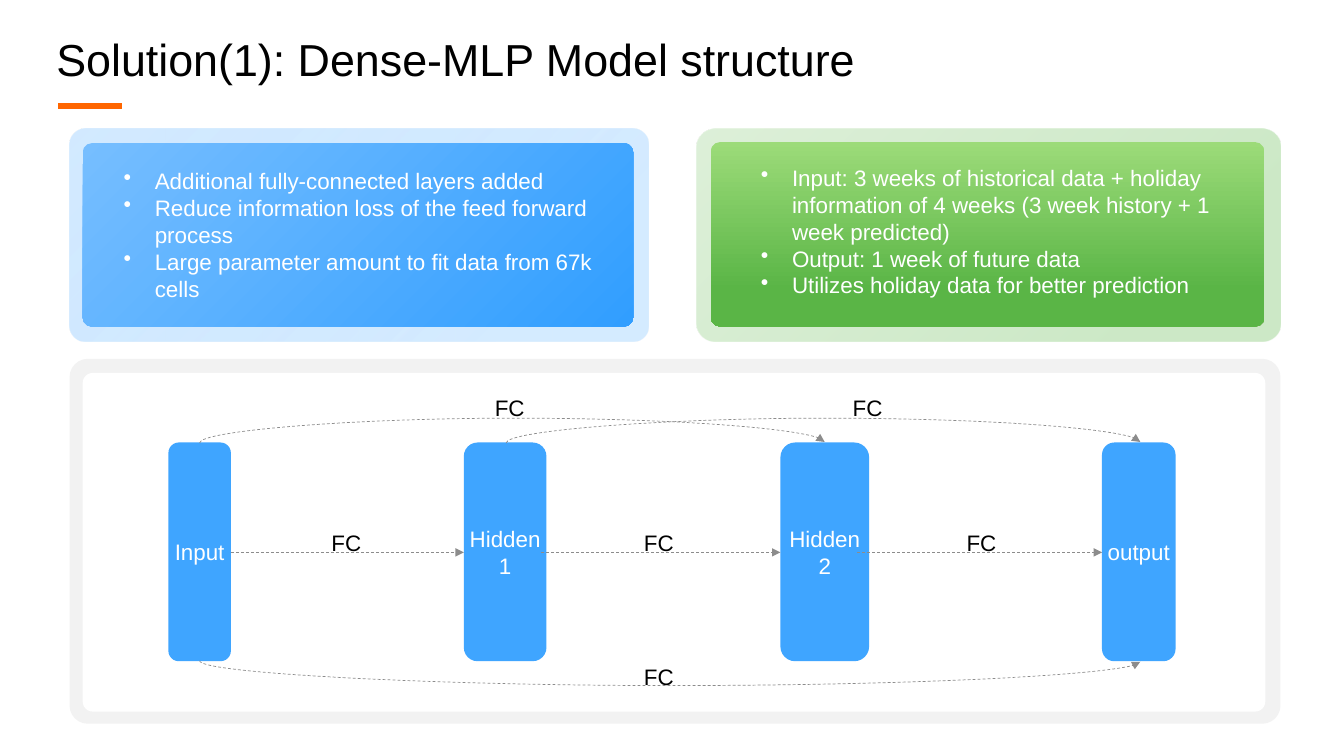
from dataclasses import dataclass

import pptx
import pptx.dml.color
import pptx.enum.dml
import pptx.enum.shapes
import pptx.enum.text
import pptx.oxml
import pptx.oxml.ns
import pptx.util

Inches, Pt = pptx.util.Inches, pptx.util.Pt
RGBColor = pptx.dml.color.RGBColor
CONNECTOR = pptx.enum.shapes.MSO_CONNECTOR
ALIGN = pptx.enum.text.PP_ALIGN
qn = pptx.oxml.ns.qn

BLACK = RGBColor(0x00, 0x00, 0x00)
WHITE = RGBColor(0xFF, 0xFF, 0xFF)
ORANGE = RGBColor(0xFF, 0x66, 0x00)
GREY = RGBColor(0x8C, 0x8C, 0x8C)
PALE_GREY = RGBColor(0xF2, 0xF2, 0xF2)
NODE_BLUE = RGBColor(0x3F, 0xA5, 0xFF)
LIGHT_BLUE = RGBColor(0x76, 0xBE, 0xFF)
DEEP_BLUE = RGBColor(0x31, 0x9E, 0xFF)
MIST_GREEN = RGBColor(0xBD, 0xE2, 0xB4)
SOFT_GREEN = RGBColor(0x9B, 0xD4, 0x8F)
LIGHT_GREEN = RGBColor(0x9C, 0xDB, 0x79)
DEEP_GREEN = RGBColor(0x5A, 0xB5, 0x46)

NODE_TOP, NODE_HEIGHT = 4.39, 2.17
NODE_BOTTOM = NODE_TOP + NODE_HEIGHT
ARROW_Y = 5.48
ARC_DEPTH, ARC_RISE = 0.01, 0.25


@dataclass
class Stop:
    color: RGBColor
    position: float
    opacity: int = 100


@dataclass
class Panel:
    box: tuple[float, float, float, float]
    radius: float
    stops: tuple[Stop, ...]  # one stop is a solid fill
    angle: int = 0  # counter-clockwise


@dataclass
class Bullets:
    box: tuple[float, float, float, float]
    lines: tuple[str, ...]


@dataclass
class Node:
    text: str
    left: float
    width: float


@dataclass
class Arrow:
    start: float
    end: float
    label_left: float
    label_width: float


@dataclass
class Arc(Arrow):
    label_top: float
    above: bool = True


PANELS = (
    Panel((0.69, 1.28, 5.74, 2.11), 0.08,
          (Stop(LIGHT_BLUE, 0, 32), Stop(DEEP_BLUE, 0.82, 20)), 315),
    Panel((0.82, 1.42, 5.46, 1.82), 0.05,
          (Stop(LIGHT_BLUE, 0), Stop(DEEP_BLUE, 1)), 315),
    Panel((6.91, 1.28, 5.79, 2.11), 0.09,
          (Stop(MIST_GREEN, 0, 50), Stop(SOFT_GREEN, 0.8, 50)), 315),
    Panel((7.05, 1.41, 5.49, 1.83), 0.05,
          (Stop(LIGHT_GREEN, 0), Stop(DEEP_GREEN, 0.8)), 270),
    Panel((0.69, 3.56, 12.01, 3.62), 0.05, (Stop(PALE_GREY, 0),)),
    Panel((0.82, 3.7, 11.73, 3.36), 0.03, (Stop(WHITE, 0),)),
)
BULLETS = (
    Bullets((1.12, 1.24, 4.87, 2.17), (
        "Additional fully-connected layers added",
        "Reduce information loss of the feed forward process",
        "Large parameter amount to fit data from 67k cells")),
    Bullets((7.44, 1.21, 4.73, 2.17), (
        "Input: 3 weeks of historical data + holiday information of 4 weeks "
        "(3 week history + 1 week predicted)",
        "Output: 1 week of future data",
        "Utilizes holiday data for better prediction")),
)
NODES = (Node("Input", 1.67, 0.62), Node("Hidden 1", 4.6, 0.82),
         Node("Hidden 2", 7.74, 0.88), Node("output", 10.93, 0.73))
ARROWS = (Arrow(2.29, 4.6, 3.15, 0.57), Arrow(5.37, 7.74, 6.26, 0.55),
          Arrow(8.5, 10.93, 9.45, 0.57))
ARCS = (Arc(1.98, 8.18, 4.76, 0.59, 3.86), Arc(5.02, 11.31, 8.31, 0.59, 3.86),
        Arc(1.98, 11.31, 6.27, 0.53, 6.53, above=False))


def format_text(tf, size: float, color: RGBColor, align) -> None:
    tf.word_wrap = True
    for p in tf.paragraphs:
        p.alignment = align
        for r in p.runs:
            r.font.name, r.font.size = "Arial", Pt(size)
            r.font.color.rgb = color


def add_text(slide, box, text: str, size: float, align) -> None:
    tf = slide.shapes.add_textbox(*map(Inches, box)).text_frame
    tf.text = text
    format_text(tf, size, BLACK, align)


def add_round_rect(slide, box):
    kind = pptx.enum.shapes.MSO_SHAPE.ROUNDED_RECTANGLE
    sp = slide.shapes.add_shape(kind, *map(Inches, box))
    sp.shadow.inherit = False
    sp.line.fill.background()
    tf = sp.text_frame
    tf.margin_left = tf.margin_right = 0
    tf.vertical_anchor = pptx.enum.text.MSO_ANCHOR.MIDDLE
    return sp


def add_panel(slide, panel: Panel) -> None:
    sp = add_round_rect(slide, panel.box)
    sp.adjustments[0] = panel.radius
    if len(panel.stops) == 1:
        sp.fill.solid()
        sp.fill.fore_color.rgb = panel.stops[0].color
        return
    sp.fill.gradient()
    sp.fill.gradient_angle = panel.angle
    for gs, stop in zip(sp.fill.gradient_stops, panel.stops):
        gs.color.rgb, gs.position = stop.color, stop.position
    for clr, stop in zip(sp._element.spPr.iter(qn("a:srgbClr")), panel.stops):
        if stop.opacity < 100:
            alpha = clr.makeelement(qn("a:alpha"), {"val": str(stop.opacity * 1000)})
            clr.append(alpha)


def add_bullets(slide, bullets: Bullets) -> None:
    sp = add_round_rect(slide, bullets.box)
    sp.fill.background()
    tf = sp.text_frame
    tf.text = "\n".join(bullets.lines)
    for p in tf.paragraphs:
        pPr = p._p.get_or_add_pPr()
        pPr.set("marL", str(Inches(0.31)))
        pPr.set("indent", str(-Inches(0.31)))
        pPr.append(pPr.makeelement(qn("a:buChar"), {"char": "•"}))
    format_text(tf, 16, WHITE, ALIGN.LEFT)


def add_node(slide, node: Node) -> None:
    sp = add_round_rect(slide, (node.left, NODE_TOP, node.width, NODE_HEIGHT))
    sp.fill.solid()
    sp.fill.fore_color.rgb = NODE_BLUE
    sp.text_frame.text = node.text
    format_text(sp.text_frame, 16, WHITE, ALIGN.CENTER)


def add_line(slide, kind, ends, color: RGBColor, width: float):
    sp = slide.shapes.add_connector(kind, *map(Inches, ends))
    sp.line.color.rgb, sp.line.width = color, Pt(width)
    spPr = sp._element.spPr
    spPr.append(spPr.makeelement(qn("a:effectLst"), {}))
    return sp


def add_arrow(slide, kind, ends):
    sp = add_line(slide, kind, ends, GREY, 0.5)
    sp.line.dash_style = pptx.enum.dml.MSO_LINE.DASH
    ln = sp.line._get_or_add_ln()
    ln.append(ln.makeelement(qn("a:tailEnd"), {"type": "triangle"}))
    return sp


def add_label(slide, arrow: Arrow, top: float) -> None:
    add_text(slide, (arrow.label_left, top, arrow.label_width, 0.37), "FC", 16, ALIGN.CENTER)


def add_arc(slide, arc: Arc) -> None:
    # A tall, thin curve is turned on its side about its centre
    x, half = (arc.start + arc.end) / 2, (arc.end - arc.start) / 2
    y = NODE_TOP if arc.above else NODE_BOTTOM
    turn = half if arc.above else -half
    sp = add_arrow(slide, CONNECTOR.CURVE,
                   (x + ARC_DEPTH / 2, y + turn, x - ARC_DEPTH / 2, y - turn))
    spPr = sp._element.spPr
    spPr.find(qn("a:xfrm")).set("rot", str((90 if arc.above else 270) * 60000))
    avLst = spPr.find(qn("a:prstGeom")).get_or_add_avLst()
    bend = round(ARC_RISE / ARC_DEPTH * 100000)
    avLst.append(avLst.makeelement(qn("a:gd"), {"name": "adj1", "fmla": f"val {bend}"}))
    add_label(slide, arc, arc.label_top)


def main() -> None:
    prs = pptx.Presentation()
    prs.slide_width, prs.slide_height = Inches(13.33), Inches(7.5)
    s = prs.slides.add_slide(prs.slide_layouts[6])

    # Title and accent
    add_line(s, CONNECTOR.STRAIGHT, (0.58, 1.05, 1.21, 1.05), ORANGE, 4)
    add_text(s, (0.46, 0.27, 8.38, 0.64), "Solution(1): Dense-MLP Model structure", 32, ALIGN.LEFT)

    # Panels and their bullets
    for panel in PANELS:
        add_panel(s, panel)
    for bullets in BULLETS:
        add_bullets(s, bullets)

    # Network diagram
    for node in NODES:
        add_node(s, node)
    for arrow in ARROWS:
        add_arrow(s, CONNECTOR.STRAIGHT, (arrow.start, ARROW_Y, arrow.end, ARROW_Y))
        add_label(s, arrow, 5.2)
    for arc in ARCS:
        add_arc(s, arc)

    prs.save("out.pptx")


if __name__ == "__main__":
    main()
